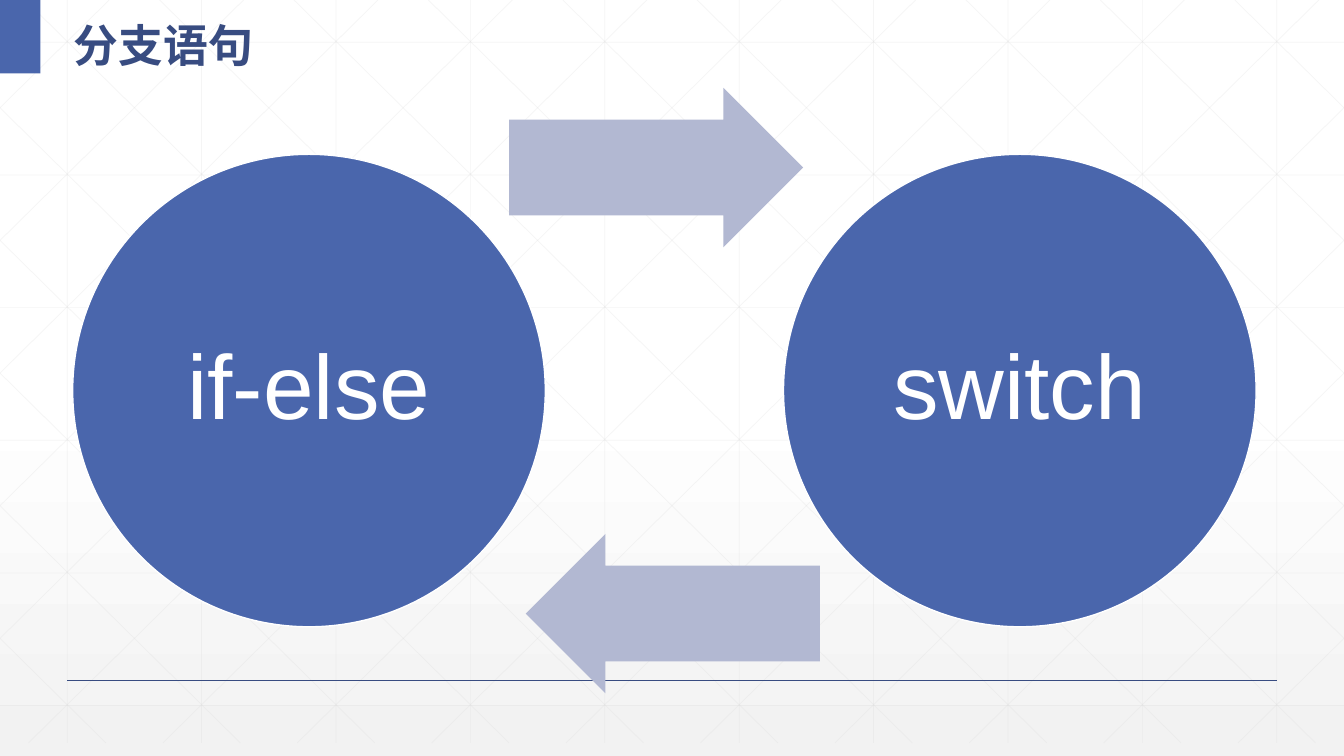
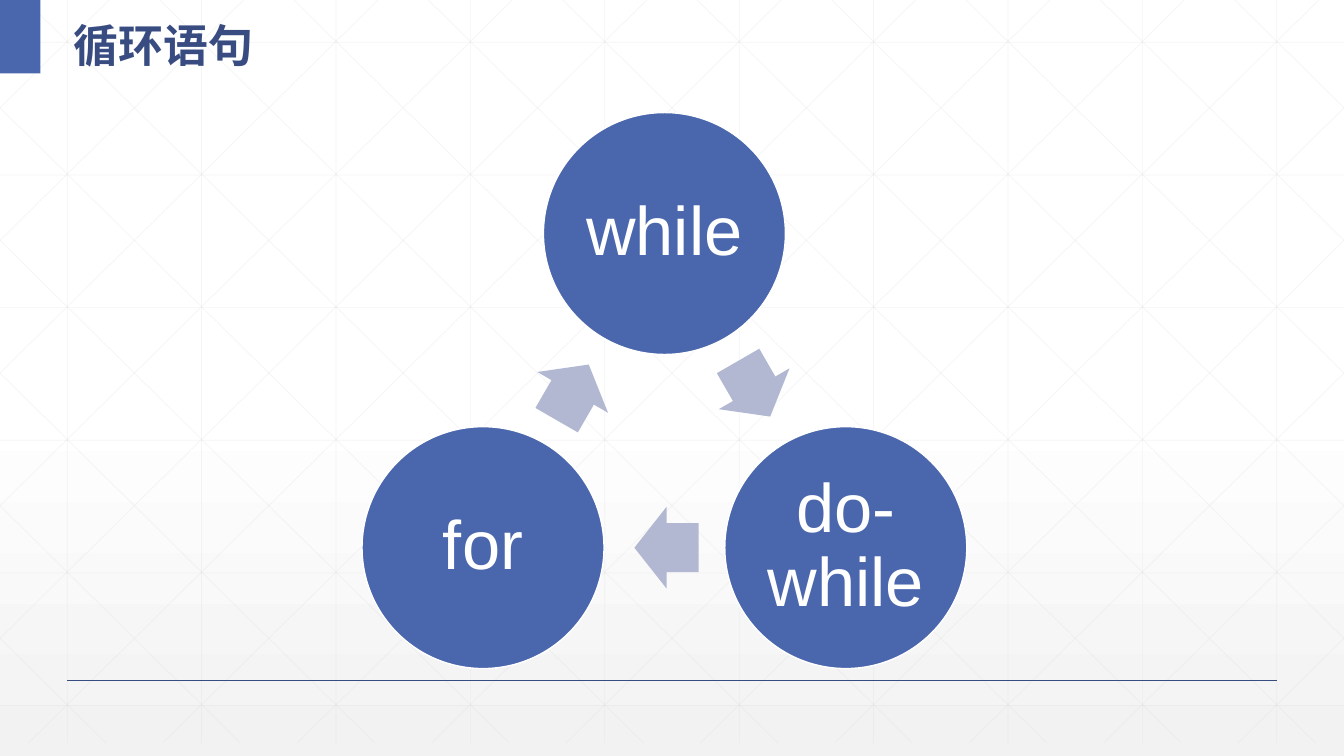
from dataclasses import dataclass
from math import atan2, cos, degrees, hypot, radians, sin

from lxml.etree import SubElement
from pptx import Presentation
from pptx.dml.color import RGBColor
from pptx.enum.shapes import MSO_CONNECTOR as CONN, MSO_SHAPE as SHAPE
from pptx.enum.text import MSO_ANCHOR as ANCHOR, MSO_AUTO_SIZE as FIT, PP_ALIGN as ALIGN
from pptx.oxml import parse_xml
from pptx.oxml.ns import nsdecls, qn
from pptx.util import Inches, Pt

W, H = 13.33, 7.5
ROW = H / 100  # one percent of the slide height


@dataclass(frozen=True)
class Theme:
    accent: str = "4A66AC"
    dark: str = "384C81"
    pale: str = "B2B8D2"
    grid: str = "D9D9D9"
    white: str = "FFFFFF"
    shade: str = "F2F2F2"
    title_font: str = "Noto Sans CJK SC"
    body_font: str = "Arial"
    title_size: int = 32


T = Theme()
BODY = (0.72, 0.87, 11.74, 6.01)
TITLE = (0.63, 0, 5.69, 0.73)
GRID_BOX = (0, 0, W, 7.37)

# Sizes in percent of the slide height; angles in degrees
PAIR = dict(start=180, radius=47, node=62.5, arrow=(38.9, 21.1),
            bulge=29.5, lag=1.1, size=65, inset=0.09)
TRIO = dict(start=-90, radius=27.7, node=32, arrow=(8.5, 10.8),
            bulge=0, lag=0.27, size=49, inset=0.07)
SLIDES = [
    ("分支语句", ["if-else", "switch"], PAIR),
    ("循环语句", ["while", "do-while", "for"], TRIO),
]


def rgb(color):
    return RGBColor.from_string(color)


def apply(obj, formats):
    for name, value in formats.items():
        setattr(obj, name, value)


def write(tf, text, font, size, color, bold, align, spacing):
    """Fill a text frame with one formatted paragraph."""
    p = tf.paragraphs[0]
    apply(p, dict(alignment=align, line_spacing=spacing))
    r = p.add_run()
    r.text = text
    apply(r.font, dict(name=font, size=Pt(size), bold=bold))
    r.font.color.rgb = rgb(color)
    SubElement(r.font._element, qn("a:ea")).set("typeface", font)


def add_shape(shapes, kind, box, fill, outline=None):
    sp = shapes.add_shape(kind, *map(Inches, box))
    sp.shadow.inherit = False
    sp.fill.solid()
    sp.fill.fore_color.rgb = rgb(fill)
    if outline:
        sp.line.color.rgb = rgb(outline)
        sp.line.width = Pt(1)
    else:
        sp.line.fill.background()
    return sp


def add_line(shapes, x1, y1, x2, y2, color, width, alpha=None):
    c = shapes.add_connector(CONN.STRAIGHT, *map(Inches, (x1, y1, x2, y2)))
    c.line.color.rgb = rgb(color)
    c.line.width = Pt(width)
    spPr = c._element.spPr
    if alpha:
        clr = spPr.find(".//" + qn("a:srgbClr"))
        SubElement(clr, qn("a:alpha")).set("val", str(alpha * 1000))
    SubElement(spPr, qn("a:effectLst"))


def background(master):
    """Vertical white to grey fade."""
    fill = master.background.fill
    fill.gradient()
    fill.gradient_angle = 270
    stops = fill.gradient_stops._gsLst if hasattr(fill.gradient_stops, "_gsLst") \
        else master._element.find(".//" + qn("p:bg")).find(".//" + qn("a:gsLst"))
    for gs in list(stops):
        stops.remove(gs)
    for pos, color, alpha in ((0, T.white, 100), (53, T.white, 100), (100, T.shade, 65)):
        stops.append(parse_xml(
            f'<a:gs {nsdecls("a")} pos="{pos * 1000}"><a:srgbClr val="{color}">'
            f'<a:alpha val="{alpha * 1000}"/></a:srgbClr></a:gs>'))


def grid(shapes, box):
    """Faint squares with both diagonals, clipped to the box."""
    left, top, w, h = box
    step, rise = w / 10, 1.316
    slope = rise / step
    right, bottom = left + w, top + h
    lines = [(x, top, x, bottom) for x in (left + step * (i + 0.5) for i in range(10))]
    lines += [(left, y, right, y) for y in (top + 0.42 + rise * i for i in range(6))]
    for k in range(-5, 10):
        x0 = 0.25 + step * k
        x1, x2 = max(0, x0), min(w, x0 + h / slope)
        y1, y2 = (top + (x - x0) * slope for x in (x1, x2))
        lines += [(left + x1, y1, left + x2, y2), (right - x1, y1, right - x2, y2)]
    for ends in lines:
        add_line(shapes, *ends, T.grid, 0.5, 25)


def set_layout(prs):
    """Shared background, grid, footer rule, corner band and title place."""
    background(prs.slide_master)
    layout = prs.slide_layouts[5]
    for ph in list(layout.placeholders):
        if ph.placeholder_format.idx:
            ph._element.getparent().remove(ph._element)
    title = layout.placeholders[0]
    apply(title, dict(zip(("left", "top", "width", "height"), map(Inches, TITLE))))
    apply(title.text_frame, dict(vertical_anchor=ANCHOR.MIDDLE, auto_size=FIT.NONE))
    return layout


def decorate(slide, layout):
    """Draw the shared parts as a group and hand it to the layout."""
    group = slide.shapes.add_group_shape()
    grid(group.shapes, GRID_BOX)
    add_line(group.shapes, W * 0.05, H * 0.9, W * 0.95, H * 0.9, T.dark, 1)
    add_shape(group.shapes, SHAPE.RECTANGLE, (0, 0, W * 0.03, TITLE[3]), T.accent)
    layout.shapes._spTree.insert(2, group._element)


def cycle(shapes, box, labels, start, radius, node, arrow, bulge, lag, size, inset):
    """Round nodes on a ring, each followed by an arrow to the next."""
    left, top, w, h = box
    radius, node, bulge, lag = (v * ROW for v in (radius, node, bulge, lag))
    aw, ah = (v * ROW for v in arrow)
    n = len(labels)
    angles = [radians(start + 360 * i / n) for i in range(n)]
    xs = [radius * cos(a) for a in angles]
    ys = [radius * sin(a) for a in angles]
    # Centre the ring's outer bounds in the box
    dx = left + w / 2 - (min(xs) + max(xs)) / 2
    dy = top + h / 2 - (min(ys) + max(ys)) / 2
    points = [(x + dx, y + dy) for x, y in zip(xs, ys)]

    for i, (label, (x, y)) in enumerate(zip(labels, points)):
        # Node
        sp = add_shape(shapes, SHAPE.OVAL, (x - node / 2, y - node / 2, node, node),
                       T.accent, T.white)
        tf = sp.text_frame
        apply(tf, dict(word_wrap=True, vertical_anchor=ANCHOR.MIDDLE))
        apply(tf, {f"margin_{side}": Inches(inset)
                   for side in ("left", "top", "right", "bottom")})
        write(tf, label, T.body_font, size, T.white, False, ALIGN.CENTER, 0.9)

        # Arrow to the next node
        nx, ny = points[(i + 1) % n]
        length = hypot(nx - x, ny - y)
        ux, uy = (nx - x) / length, (ny - y) / length
        cx = (x + nx) / 2 - lag * ux + bulge * uy
        cy = (y + ny) / 2 - lag * uy - bulge * ux
        sp = add_shape(shapes, SHAPE.RIGHT_ARROW, (cx - aw / 2, cy - ah / 2, aw, ah), T.pale)
        sp.adjustments[0], sp.adjustments[1] = 0.6, 0.5
        sp.rotation = round(degrees(atan2(uy, ux))) % 360


def cycle_slide(prs, layout, title, labels, ring):
    s = prs.slides.add_slide(layout)
    write(s.shapes.title.text_frame, title, T.title_font, T.title_size,
          T.dark, True, ALIGN.LEFT, 1.3)
    cycle(s.shapes, BODY, labels, **ring)
    return s


def main():
    prs = Presentation()
    prs.slide_width, prs.slide_height = Inches(W), Inches(H)
    layout = set_layout(prs)
    for content in SLIDES:
        s = cycle_slide(prs, layout, *content)
    decorate(s, layout)
    prs.save("out.pptx")


if __name__ == "__main__":
    main()
